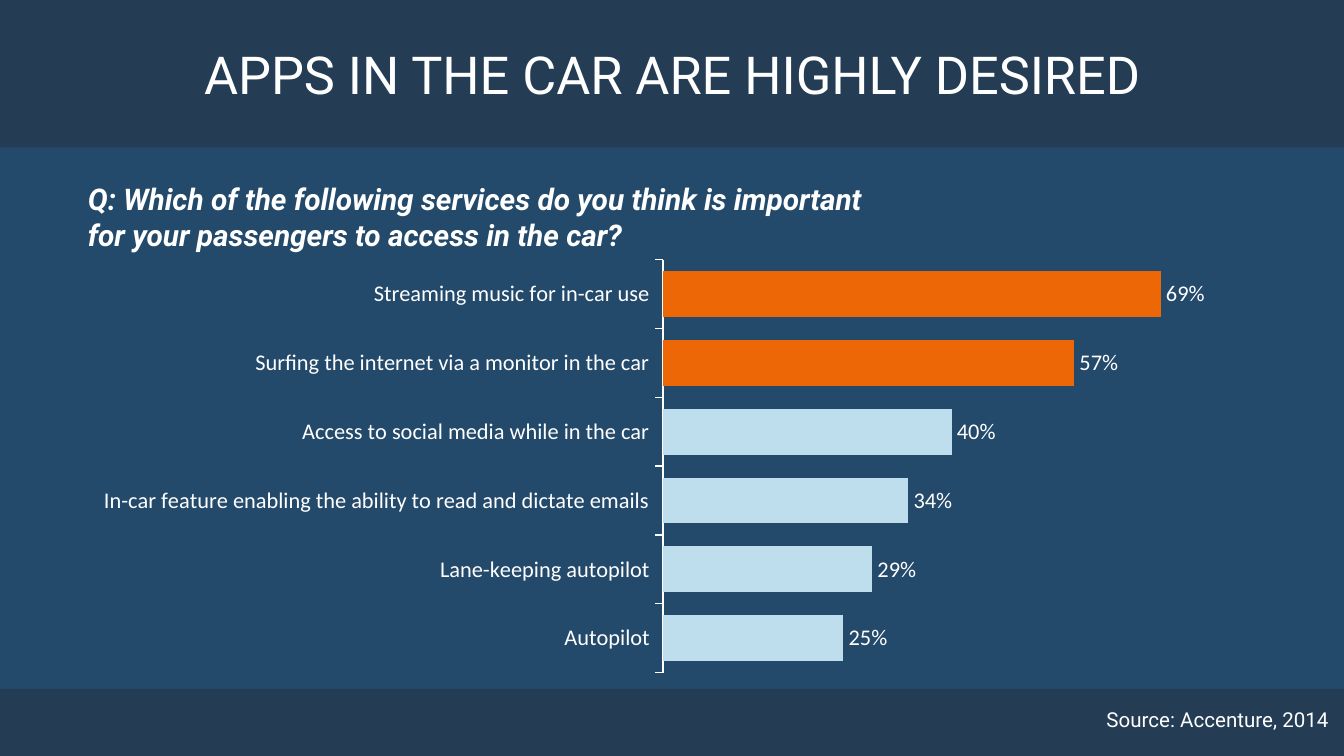
from dataclasses import dataclass

from pptx import Presentation
from pptx.chart.data import CategoryChartData
from pptx.dml.color import RGBColor
from pptx.enum import chart as ch, shapes, text
from pptx.util import Pt


@dataclass(frozen=True)
class Theme:
    background: RGBColor = RGBColor.from_string("23496B")
    band: RGBColor = RGBColor.from_string("243D54")
    white: RGBColor = RGBColor.from_string("FFFFFF")
    bar: RGBColor = RGBColor.from_string("BFDEED")
    highlight: RGBColor = RGBColor.from_string("EE6707")
    text_font: str = "Roboto"
    chart_font: str = "Calibri"
    title: int = 28
    question: int = 16
    label: int = 12
    source: int = 11


theme = Theme()
WIDTH, HEIGHT = 720, 405
HEADER, FOOTER = 79, 36


def add_text(s, content, box, *, size, align=text.PP_ALIGN.LEFT,
             anchor=text.MSO_ANCHOR.MIDDLE, bold=False, italic=False):
    """Add a text box; box is left, top, width, height in points."""
    tf = s.shapes.add_textbox(*map(Pt, box)).text_frame
    tf.word_wrap = True
    tf.vertical_anchor = anchor
    p = tf.paragraphs[0]
    p.text = content
    p.alignment = align
    for r in p.runs:
        r.font.name = theme.text_font
        r.font.size = Pt(size)
        r.font.color.rgb = theme.white
        r.font.bold = bold
        r.font.italic = italic


prs = Presentation()
prs.slide_width, prs.slide_height = Pt(WIDTH), Pt(HEIGHT)
s = prs.slides.add_slide(prs.slide_layouts[6])
s.background.fill.solid()
s.background.fill.fore_color.rgb = theme.background

# Header and footer bands
for top, height in ((HEIGHT - FOOTER, FOOTER), (0, HEADER)):
    sp = s.shapes.add_shape(shapes.MSO_SHAPE.RECTANGLE, 0, Pt(top), Pt(WIDTH), Pt(height))
    sp.shadow.inherit = False
    sp.fill.solid()
    sp.fill.fore_color.rgb = theme.band
    sp.line.fill.background()

add_text(s, "Source: Accenture, 2014", (457, 371, 262, 29),
         size=theme.source, align=text.PP_ALIGN.RIGHT)
add_text(s, "APPS IN THE CAR ARE HIGHLY DESIRED", (0, 0, WIDTH, HEADER),
         size=theme.title, align=text.PP_ALIGN.CENTER)
add_text(s, "Q: Which of the following services do you think is important\v"
            "for your passengers to access in the car?", (40, 93.5, 642, 42.5),
         size=theme.question, anchor=text.MSO_ANCHOR.TOP, bold=True, italic=True)

# Survey results, from the bottom bar to the top one
services = {
    "Autopilot": 0.25,
    "Lane-keeping autopilot": 0.29,
    "In-car feature enabling the ability to read and dictate emails": 0.34,
    "Access to social media while in the car": 0.4,
    "Surfing the internet via a monitor in the car": 0.57,
    "Streaming music for in-car use": 0.69,
}
data = CategoryChartData(number_format="0%")
data.categories = services.keys()
data.add_series("Series 1", services.values())
chart = s.shapes.add_chart(ch.XL_CHART_TYPE.BAR_CLUSTERED, Pt(43), Pt(134.5),
                           Pt(634), Pt(230.5), data).chart
chart.has_legend = False
chart.has_title = False
chart.font.name = theme.chart_font
chart.font.size = Pt(theme.label)
chart.font.color.rgb = theme.white

axis = chart.category_axis
axis.major_tick_mark = ch.XL_TICK_MARK.OUTSIDE
axis.has_major_gridlines = False
axis.format.line.color.rgb = theme.white
axis.format.line.width = Pt(0.75)
values = chart.value_axis
values.visible = False
values.has_major_gridlines = False
values.minimum_scale, values.maximum_scale = 0, 0.8

plot = chart.plots[0]
plot.gap_width = 50
plot.vary_by_categories = False
plot.has_data_labels = True
labels = plot.data_labels
labels.show_value = True
labels.number_format = "0%"
labels.number_format_is_linked = False
labels.position = ch.XL_LABEL_POSITION.OUTSIDE_END

bars = plot.series[0]
bars.format.fill.solid()
bars.format.fill.fore_color.rgb = theme.bar
for i, share in enumerate(services.values()):
    if share > 0.5:
        fill = bars.points[i].format.fill
        fill.solid()
        fill.fore_color.rgb = theme.highlight

prs.save("out.pptx")
